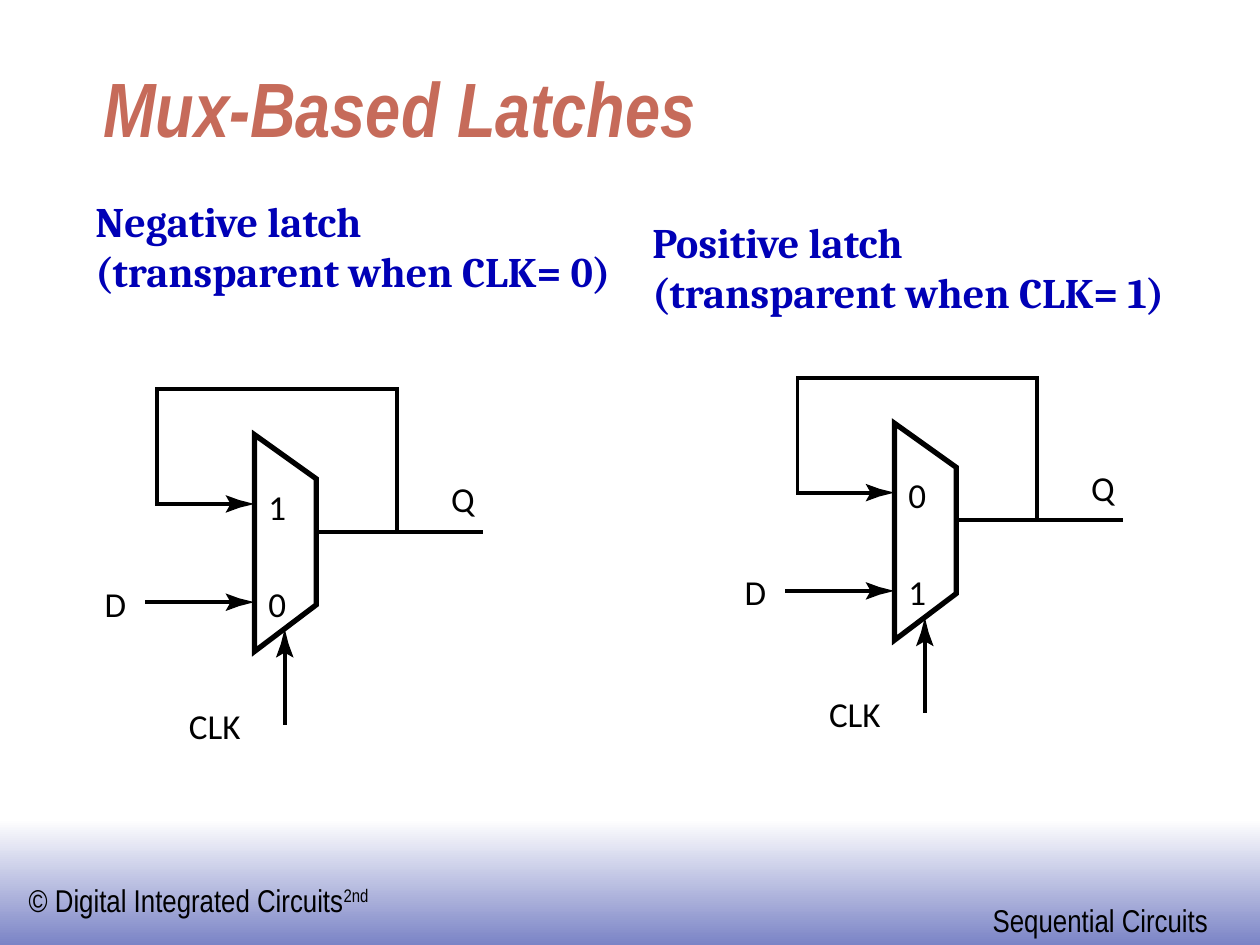
"""Build the slide on mux-based latches."""
from lxml.etree import SubElement
from pptx import Presentation
from pptx.dml.color import RGBColor
from pptx.enum.shapes import MSO_CONNECTOR as Connector, MSO_SHAPE as Shape
from pptx.enum.text import MSO_ANCHOR as Anchor, MSO_AUTO_SIZE as AutoSize
from pptx.oxml.ns import qn
from pptx.util import Inches, Pt

BLACK = RGBColor(0x00, 0x00, 0x00)
WHITE = RGBColor(0xFF, 0xFF, 0xFF)
PERIWINKLE = RGBColor(0x7B, 0x84, 0xC6)
TERRACOTTA = RGBColor(0xC6, 0x6B, 0x5A)
BLUE = RGBColor(0x00, 0x00, 0xB6)
WIRE, OUTLINE = 2.25, 3


class LatchSlide:
    heading_font, body_font, label_font = "Arial Narrow", "Cambria", "Calibri"

    def __init__(self, presentation):
        self.slide = presentation.slides.add_slide(presentation.slide_layouts[6])
        self.shapes = self.slide.shapes

    def band(self, left, top, width, height):
        shape = self.shapes.add_shape(
            Shape.RECTANGLE, Inches(left), Inches(top), Inches(width), Inches(height))
        shape.shadow.inherit = False
        shape.line.fill.background()
        shape.fill.gradient()
        shape.fill.gradient_angle = 270
        for stop, position, color in zip(shape.fill.gradient_stops, (0, 1), (WHITE, PERIWINKLE)):
            stop.position = position
            stop.color.rgb = color

    def text(self, box, lines, font, size, color=BLACK, bold=False, italic=False,
             superscript="", inset=True, title=False):
        frame = self.shapes.add_textbox(*map(Inches, box)).text_frame
        frame.word_wrap = title
        frame.auto_size = AutoSize.NONE if title else AutoSize.SHAPE_TO_FIT_TEXT
        frame.vertical_anchor = Anchor.BOTTOM if title else Anchor.TOP
        if not inset:
            frame.margin_left = frame.margin_right = 0
            frame.margin_top = frame.margin_bottom = 0
        for index, line in enumerate(lines):
            paragraph = frame.add_paragraph() if index else frame.paragraphs[0]
            for words in filter(None, (line, superscript)):
                run = paragraph.add_run()
                run.text = words
                run.font.name, run.font.size = font, Pt(size)
                run.font.bold, run.font.italic = bold, italic
                run.font.color.rgb = color
        if superscript:
            run.font._element.set("baseline", "30000")

    def label(self, left, top, width, words):
        self.text((left, top, width, 0.33), [words], self.label_font, 20, inset=False)

    def outline(self, points, width=None, close=False):
        start, *rest = [(Inches(x), Inches(y)) for x, y in points]
        builder = self.shapes.build_freeform(*start)
        builder.add_line_segments(rest, close=close)
        shape = builder.convert_to_shape()
        shape.shadow.inherit = False
        if width is None:
            shape.fill.solid()
            shape.fill.fore_color.rgb = BLACK
            shape.line.fill.background()
            return
        shape.fill.background()
        shape.line.color.rgb = BLACK
        shape.line.width = Pt(width)
        SubElement(shape.element.spPr.find(qn("a:ln")), qn("a:miter"), lim="800000")

    def wire(self, x1, y1, x2, y2):
        connector = self.shapes.add_connector(
            Connector.STRAIGHT, Inches(x1), Inches(y1), Inches(x2), Inches(y2))
        connector.line.color.rgb = BLACK
        connector.line.width = Pt(WIRE)
        SubElement(connector.element.spPr, qn("a:effectLst"))

    def arrowhead(self, x, y, upward=False):
        profile = [(0.19, 0), (0.23, -0.07), (0.12, -0.03), (0, 0), (0.12, 0.03), (0.23, 0.07)]
        self.outline([(x + across, y + back) if upward else (x - back, y + across)
                      for back, across in profile], close=True)

    def latch(self, x, y, upper, lower):
        """Draw one latch with the top left of its feedback loop at x, y."""
        self.shapes = self.slide.shapes.add_group_shape().shapes
        mux, out = x + 0.77, y + 1.13
        self.outline([(x + 1.9, out), (x + 1.9, y), (x, y), (x, y + 0.91),
                      (x + 0.59, y + 0.91)], WIRE)
        self.wire(mux + 0.49, out, x + 2.58, out)
        self.wire(x + 0.59, y + 1.69, x - 0.1, y + 1.69)
        self.wire(x + 1.01, y + 2.08, x + 1.01, y + 2.66)
        self.outline([(mux, y + 2.08), (mux + 0.49, y + 1.71), (mux + 0.49, y + 0.71),
                      (mux, y + 0.36)], OUTLINE, close=True)
        self.arrowhead(mux, y + 0.91)
        self.arrowhead(mux, y + 1.69)
        self.arrowhead(x + 1.01, y + 1.9, upward=True)
        self.label(x + 0.88, y + 0.76, 0.14, upper)
        self.label(x + 0.88, y + 1.53, 0.14, lower)
        self.label(x - 0.42, y + 1.53, 0.2, "D")
        self.label(x + 2.33, y + 0.7, 0.2, "Q")
        self.label(x + 0.25, y + 2.5, 0.56, "CLK")
        self.shapes = self.slide.shapes


def main():
    presentation = Presentation()
    presentation.slide_width, presentation.slide_height = Inches(10), Inches(7.5)
    page = LatchSlide(presentation)
    page.band(0, 6.5, 10, 1)
    page.text((0.13, 6.94, 2.93, 0.4), ["© Digital Integrated Circuits"],
              page.heading_font, 18, superscript="2nd")
    page.text((7.78, 7.1, 1.91, 0.4), ["Sequential Circuits"], page.heading_font, 18)
    page.text((0.72, 0.48, 8.5, 0.78), ["Mux-Based Latches"], page.heading_font, 44,
              TERRACOTTA, bold=True, italic=True, title=True)
    for name, clock, left, top in (("Negative", 0, 0.66, 1.5), ("Positive", 1, 5.08, 1.67)):
        page.text((left, top, 4.34, 0.9),
                  [f"{name} latch", f"(transparent when CLK= {clock})"],
                  page.body_font, 24, BLUE, bold=True)
    page.latch(1.25, 3.09, "1", "0")
    page.latch(6.33, 3, "0", "1")
    presentation.save("out.pptx")


if __name__ == "__main__":
    main()
